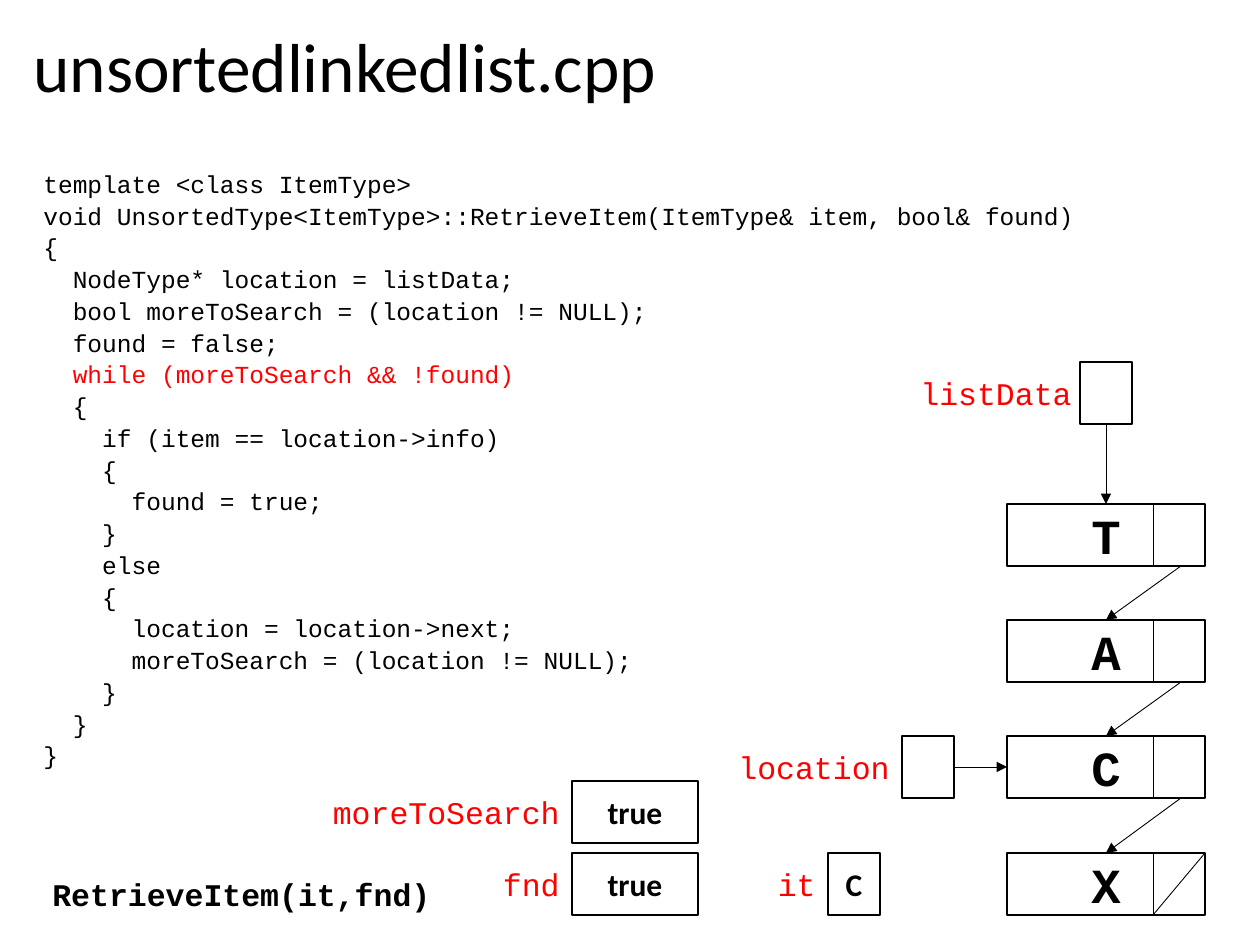
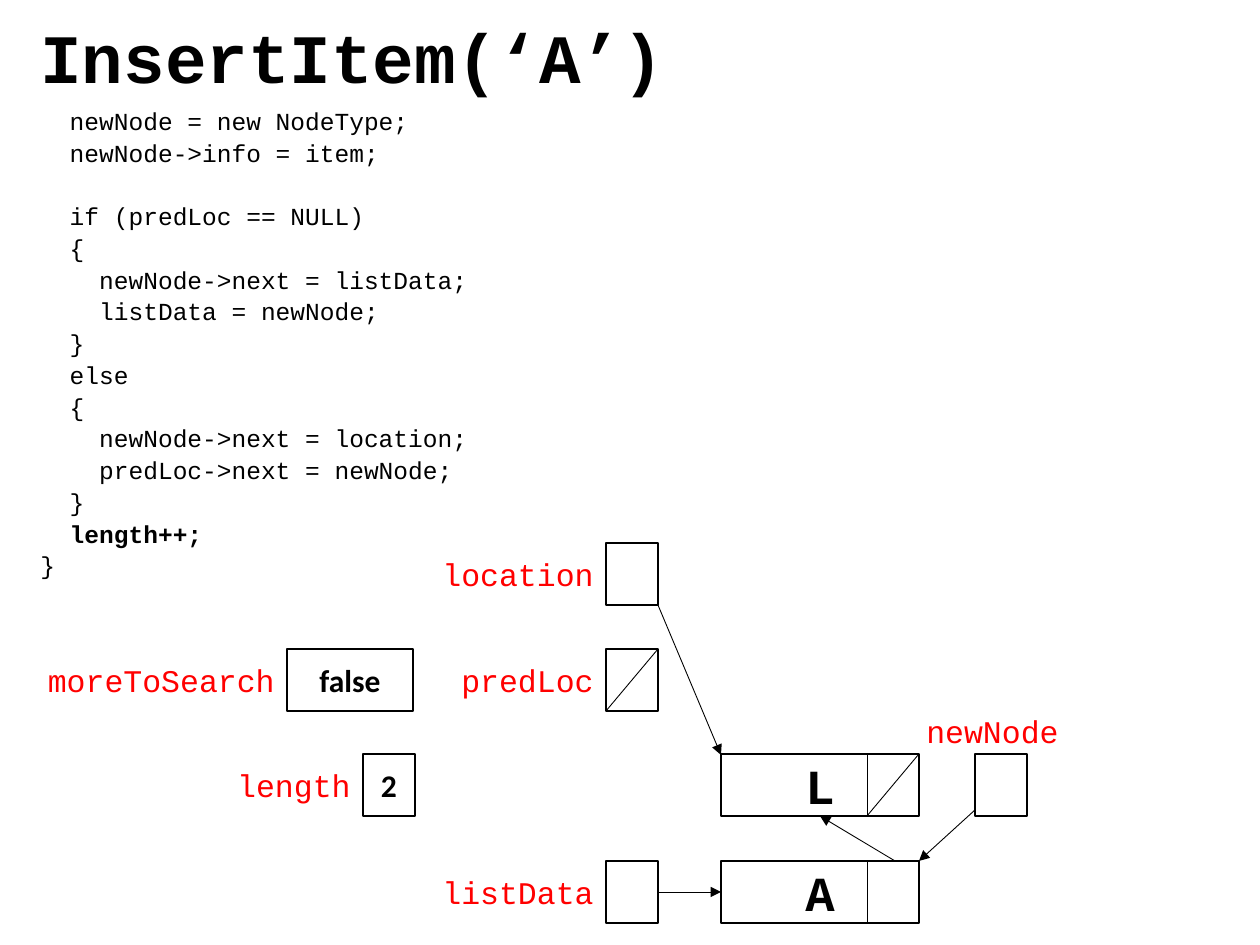
from lxml import etree
from pptx import Presentation
from pptx.dml.color import RGBColor
from pptx.enum.shapes import MSO_CONNECTOR, MSO_SHAPE
from pptx.enum.text import MSO_ANCHOR, PP_ALIGN
from pptx.oxml.ns import qn
from pptx.util import Emu, Pt

BLACK = RGBColor(0x00, 0x00, 0x00)
RED = RGBColor(0xFF, 0x00, 0x00)
SANS, MONO = "Calibri", "Courier New"
PX_PER_INCH = 126
TOP, LEFT, BOTTOM, RIGHT = range(4)

NODE_W, CELL_W, VALUE_W, BOX_H = 198, 52, 126, 62
DIVIDER, POINTER = 146, 174  # offsets inside a node
LABEL_H, LABEL_DROP = 50, 6

RETRIEVE_CODE = """\
template <class ItemType>
void UnsortedType<ItemType>::RetrieveItem(ItemType& item, bool& found)
{
  NodeType* location = listData;
  bool moreToSearch = (location != NULL);
  found = false;
  while (moreToSearch && !found)
  {
    if (item == location->info)
    {
      found = true;
    }
    else
    {
      location = location->next;
      moreToSearch = (location != NULL);
    }
  }
}"""

INSERT_CODE = """\
  newNode = new NodeType;
  newNode->info = item;

  if (predLoc == NULL)
  {
    newNode->next = listData;
    listData = newNode;
  }
  else
  {
    newNode->next = location;
    predLoc->next = newNode;
  }
  length++;
}"""


def px(length):
    return Emu(round(length * 914400 / PX_PER_INCH))


class ListDiagram:
    def __init__(self):
        self.deck = Presentation()
        self.deck.slide_width, self.deck.slide_height = px(1260), px(945)
        self.slide = None

    def new_slide(self):
        self.slide = self.deck.slides.add_slide(self.deck.slide_layouts[6])

    def style(self, paragraph, size, font=MONO, color=BLACK, bold=False,
              align=PP_ALIGN.LEFT):
        paragraph.alignment = align
        for run in paragraph.runs:
            run.font.size, run.font.name = Pt(size), font
            run.font.bold = bold
            run.font.color.rgb = color

    def text(self, x, y, w, h, words, size, **style):
        frame = self.slide.shapes.add_textbox(px(x), px(y), px(w), px(h)).text_frame
        frame.word_wrap = True
        frame.text = words
        for paragraph in frame.paragraphs:
            self.style(paragraph, size, **style)
        return frame

    def title(self, x, y, w, h, words, **style):
        frame = self.text(x, y, w, h, words, 39.6, **style)
        frame.vertical_anchor = MSO_ANCHOR.MIDDLE
        frame.paragraphs[0].line_spacing = 0.9

    def code(self, x, y, w, source, current, **emphasis):
        """Code listing with the current statement emphasised; an empty line becomes a gap."""
        lines = source.split("\n")
        shown = [line for line in lines if line]
        frame = self.text(x, y, w, 660, "\n".join(shown), 14)
        after_gap = {line for before, line in zip(lines, lines[1:]) if not before}
        for index, paragraph in enumerate(frame.paragraphs):
            paragraph.line_spacing = 0.9
            if index:
                paragraph.space_before = Pt(21.2 if paragraph.text in after_gap else 3)
            if paragraph.text.strip() == current:
                self.style(paragraph, 14, **emphasis)

    def label(self, right, y, words, w=192):
        self.text(right - w, y, w, LABEL_H, words, 18, color=RED, align=PP_ALIGN.RIGHT)

    def box(self, x, y, w, words="", size=18, font=SANS):
        box = self.slide.shapes.add_shape(
            MSO_SHAPE.RECTANGLE, px(x), px(y), px(w), px(BOX_H))
        box.shadow.inherit = False
        box.fill.background()
        box.line.color.rgb, box.line.width = BLACK, Pt(1)
        if words:
            frame = box.text_frame
            frame.text = words
            frame.vertical_anchor = MSO_ANCHOR.MIDDLE
            self.style(frame.paragraphs[0], size, font, bold=True, align=PP_ALIGN.CENTER)
        return box

    def variable(self, name, x, y, value="", w=CELL_W, label_w=192):
        """A box with its name at the left."""
        self.label(x, y + LABEL_DROP, name, label_w)
        return self.box(x, y, w, value)

    def line(self, start, end):
        line = self.slide.shapes.add_connector(
            MSO_CONNECTOR.STRAIGHT, *(px(n) for n in (*start, *end)))
        line.line.color.rgb, line.line.width = BLACK, Pt(0.5)
        etree.SubElement(line._element.spPr, qn("a:effectLst"))
        return line

    def arrow(self, start, end):
        """Each end is a point, or a box and one of its sides."""
        joins = [isinstance(tip[0], (int, float)) is False for tip in (start, end)]
        arrow = self.line(*((0, 0) if joined else tip
                            for tip, joined in zip((start, end), joins)))
        if joins[0]:
            arrow.begin_connect(*start)
        if joins[1]:
            arrow.end_connect(*end)
        etree.SubElement(arrow.line._get_or_add_ln(), qn("a:tailEnd"), type="triangle")

    def null(self, x, y, w):
        """The slash of a null pointer."""
        self.line((x + w, y), (x, y + BOX_H))

    def node(self, x, y, item, last=False):
        node = self.box(x, y, NODE_W, item, 28, MONO)
        self.line((x + DIVIDER, y), (x + DIVIDER, y + BOX_H))
        if last:
            self.null(x + DIVIDER, y, NODE_W - DIVIDER)
        return node


def retrieve_slide(d):
    d.new_slide()
    d.title(21, 23, 1212, 93, "unsortedlinkedlist.cpp", font=SANS)
    d.code(31, 166, 1058, RETRIEVE_CODE, "while (moreToSearch && !found)", color=RED)

    x, items = 1007, "TACX"
    tops = [504 + i * 349 // 3 for i in range(len(items))]
    nodes = [d.node(x, y, item, last=item == items[-1]) for y, item in zip(tops, items)]
    for y, following in zip(tops, nodes[1:]):
        d.arrow((x + POINTER, y + BOX_H), (following, TOP))

    d.label(1084, 368, "listData")
    list_data = d.box(1080, 362, CELL_W)
    d.arrow((list_data, BOTTOM), (nodes[0], TOP))
    location = d.variable("location", 902, tops[2])
    d.arrow((location, RIGHT), (nodes[2], LEFT))

    d.variable("moreToSearch", 572, 781, "true", VALUE_W, 258)
    d.variable("fnd", 572, tops[3], "true", VALUE_W, 128)
    d.variable("it", 828, tops[3], "C", label_w=108)
    d.text(40, 869, 404, LABEL_H, "RetrieveItem(it,fnd)", 18, bold=True)


def insert_slide(d):
    d.new_slide()
    d.code(28, 103, 858, INSERT_CODE, "length++;", bold=True)
    d.title(28, 26, 1058, 71, "InsertItem(‘A’)", bold=True)

    x, old_y, new_y = 721, 754, 861
    old_first = d.node(x, old_y, "L", last=True)
    new_first = d.node(x, new_y, "A")
    d.arrow((x + POINTER, new_y), (old_first, BOTTOM))

    pointers_x, pred_y, location_y = 606, 649, 543
    d.variable("location", pointers_x, location_y)
    d.arrow((pointers_x + CELL_W, location_y + BOX_H), (x, old_y + 1))
    d.variable("predLoc", pointers_x, pred_y)
    d.null(pointers_x, pred_y, CELL_W)
    list_data = d.variable("listData", pointers_x, new_y)
    d.arrow((list_data, RIGHT), (new_first, LEFT))

    d.variable("moreToSearch", 287, pred_y, "false", VALUE_W, 258)
    d.variable("length", 363, old_y, "2")
    d.label(1071, 706, "newNode")
    d.box(975, old_y, CELL_W)
    d.arrow((975, 810), (x + NODE_W, new_y))


def main():
    diagram = ListDiagram()
    retrieve_slide(diagram)
    insert_slide(diagram)
    diagram.deck.save("out.pptx")


if __name__ == "__main__":
    main()
